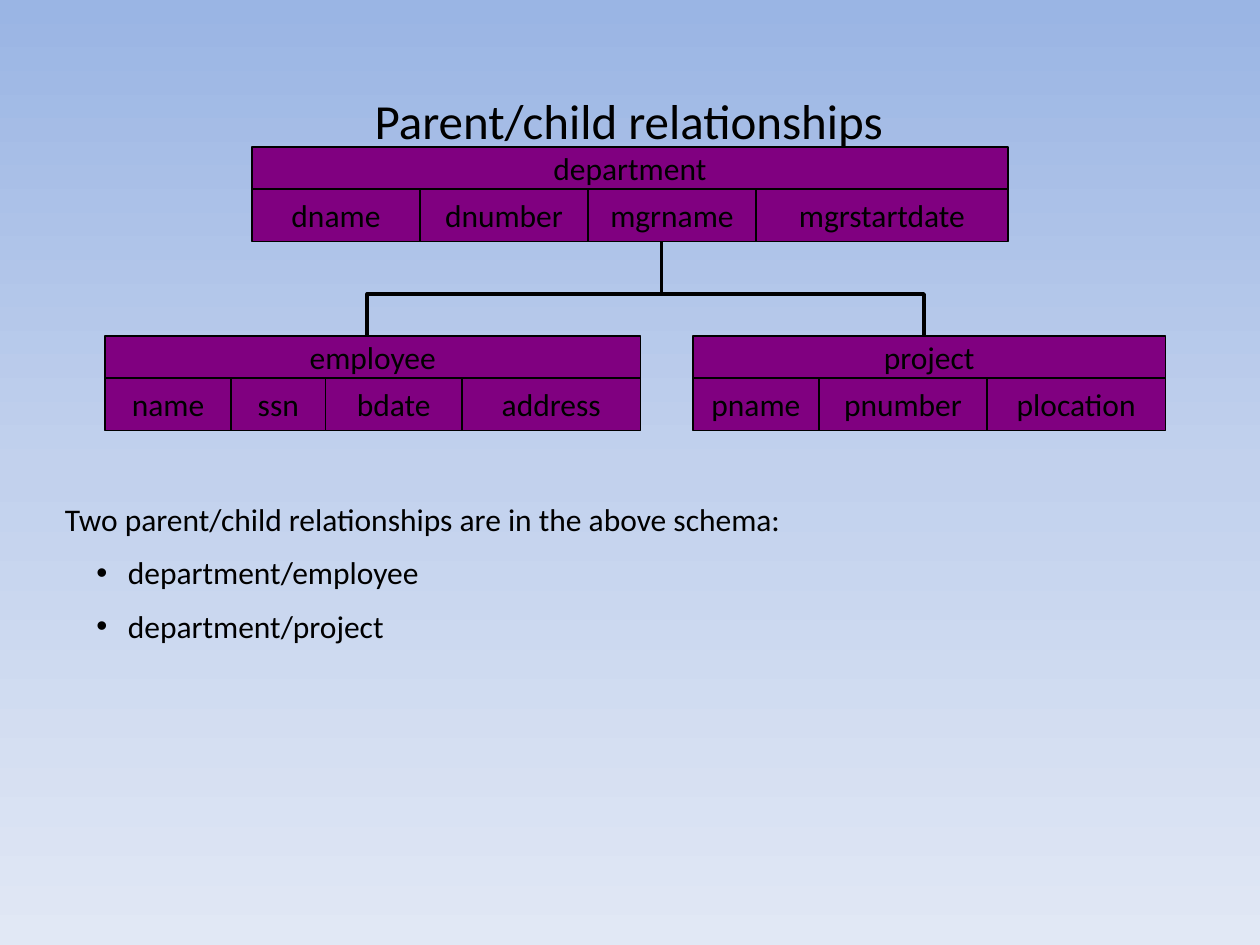
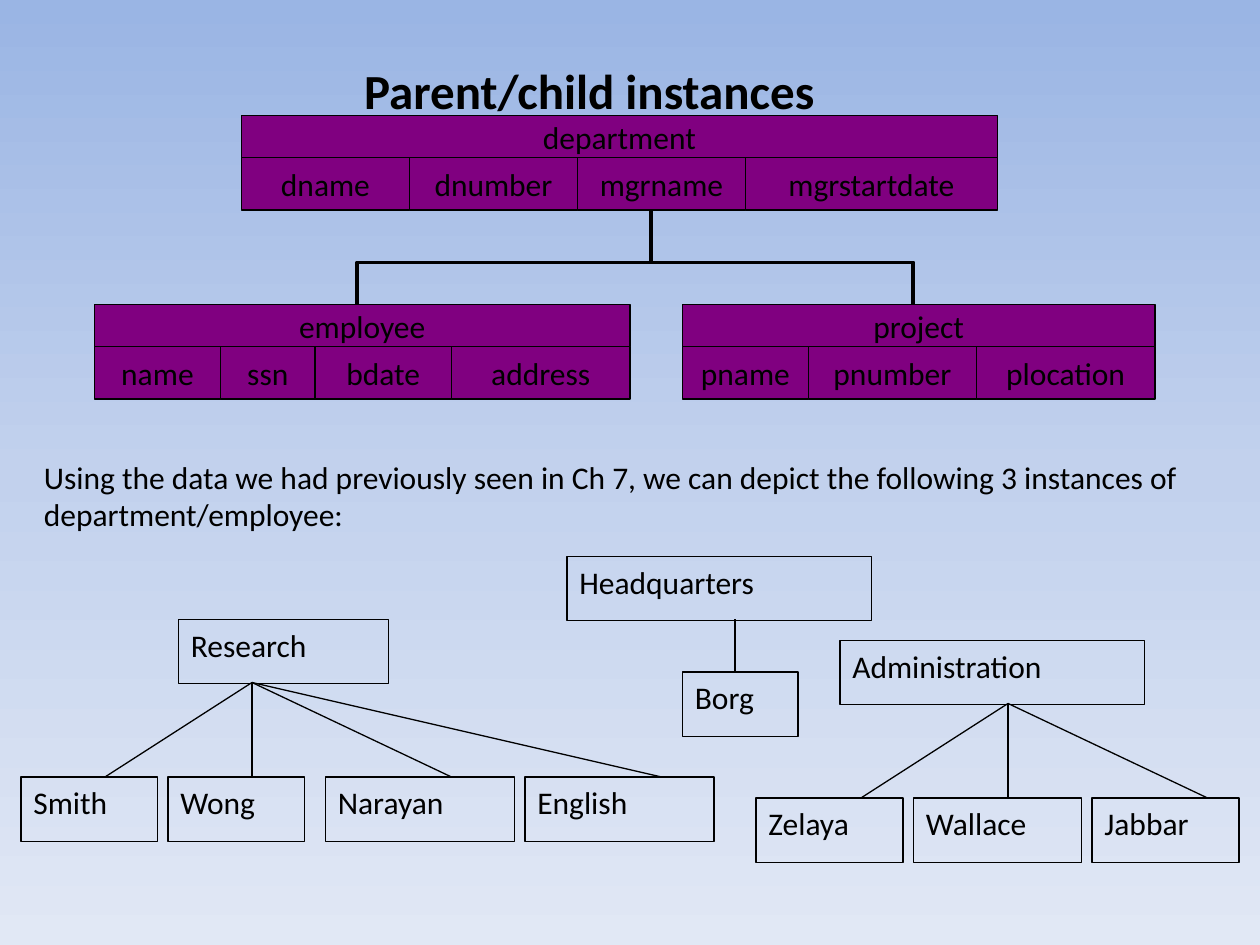
from copy import deepcopy
from dataclasses import dataclass

from lxml.etree import SubElement
from pptx import Presentation
from pptx.dml.color import RGBColor
from pptx.enum.shapes import MSO_CONNECTOR, MSO_SHAPE
from pptx.enum.text import MSO_ANCHOR, PP_ALIGN
from pptx.oxml.ns import qn
from pptx.util import Inches, Pt


@dataclass(frozen=True)
class Theme:
    font: str = "Calibri"
    title: int = 28
    body: int = 18
    thin: float = 0.75
    thick: float = 2.25
    ink: RGBColor = RGBColor.from_string("000000")
    record: RGBColor = RGBColor.from_string("800080")
    sky: tuple = ("9AB5E4", "C2D1ED", "E1E8F5")


T = Theme()
CELLS = 12  # every position is counted in twelfths of an inch


def add_text(s, text, x, y, w, h, *, size=T.body, bold=False, fill=None,
             outline=False, centred=False, bullets=()):
    """Place text at grid units x, y, w, h, with an optional box around it."""
    place = [Inches(v / CELLS) for v in (x, y, w, h)]
    if outline:
        sp = s.shapes.add_shape(MSO_SHAPE.RECTANGLE, *place)
        sp.shadow.inherit = False
        sp.line.color.rgb = T.ink
        sp.line.width = Pt(T.thin)
        if fill:
            sp.fill.solid()
            sp.fill.fore_color.rgb = fill
        else:
            sp.fill.background()
    else:
        sp = s.shapes.add_textbox(*place)
    tf = sp.text_frame
    tf.word_wrap = True
    tf.vertical_anchor = MSO_ANCHOR.MIDDLE if centred else MSO_ANCHOR.TOP
    if centred:
        tf.margin_top = tf.margin_bottom = 0
    for i, words in enumerate((text, *bullets)):
        p = tf.add_paragraph() if i else tf.paragraphs[0]
        p.alignment = PP_ALIGN.CENTER if centred else PP_ALIGN.LEFT
        if i:
            p.level = 1
            p.space_before = Pt(size / 2)
            pPr = p._p.get_or_add_pPr()
            pPr.set("marL", str(Inches(0.5)))
            pPr.set("indent", str(-Inches(0.25)))
            SubElement(pPr, qn("a:buFont")).set("typeface", "Arial")
            SubElement(pPr, qn("a:buChar")).set("char", "•")
        r = p.add_run()
        r.text = words
        r.font.name, r.font.size, r.font.bold = T.font, Pt(size), bold
        r.font.color.rgb = T.ink


def add_line(s, start, end, width):
    ends = [Inches(v / CELLS) for v in (*start, *end)]
    line = s.shapes.add_connector(MSO_CONNECTOR.STRAIGHT, *ends)
    line.line.color.rgb = T.ink
    line.line.width = Pt(width)
    SubElement(line._element.spPr, qn("a:effectLst"))


# Record type, left, top, fields with their widths
SCHEMA = [
    ("department", 24, 14, {"dname": 16, "dnumber": 16, "mgrname": 16, "mgrstartdate": 24}),
    ("employee", 10, 32, {"name": 12, "ssn": 9, "bdate": 13, "address": 17}),
    ("project", 66, 32, {"pname": 12, "pnumber": 16, "plocation": 17}),
]
HEAD_H, FIELD_H = 4, 5
BRACKET = [(35, 32), (35, 28), (88, 28), (88, 32)]
STEM = [(63, 28), (63, 23)]

# Parent, left, top, width, x of its line ends, top of children,
# children as (name, left, width, x of line end)
INSTANCES = [
    ("Research", 17, 59, 20, 24, 74, [
        ("Smith", 2, 13, 10), ("Wong", 16, 13, 24),
        ("Narayan", 31, 18, 43), ("English", 50, 18, 63)]),
    ("Administration", 80, 61, 29, 96, 76, [
        ("Zelaya", 72, 14, 82), ("Wallace", 87, 16, 96), ("Jabbar", 104, 14, 115)]),
    ("Headquarters", 54, 53, 29, 70, 64, [("Borg", 65, 11, 70)]),
]
INSTANCE_H = 6.12

SLIDES = [
    dict(shift=(0, 0), instances=[],
         title=dict(text="Parent/child relationships", x=34.5, y=8, w=55.2, h=6.84),
         body=dict(text="Two parent/child relationships are in the above schema:",
                   x=5, y=47, w=110, h=20.4,
                   bullets=("department/employee", "department/project"))),
    dict(shift=(-1, -3), instances=INSTANCES,
         title=dict(text="Parent/child instances", x=33.5, y=5.16, w=52.6, h=6.84, bold=True),
         body=dict(text="Using the data we had previously seen in Ch 7, we can depict "
                        "the following 3 instances of department/employee:",
                   x=3, y=43, w=113, h=10.8)),
]

prs = Presentation()
prs.slide_width, prs.slide_height = Inches(10), Inches(7.5)

for page in SLIDES:
    s = prs.slides.add_slide(prs.slide_layouts[6])
    dx, dy = page["shift"]

    # Background
    sky = s.background.fill
    sky.gradient()
    sky.gradient_angle = 270
    stops = s._element.find(".//" + qn("a:gsLst"))
    stops.append(deepcopy(stops[0]))
    for i, (stop, colour) in enumerate(zip(sky.gradient_stops, T.sky)):
        stop.position = i / 2
        stop.color.rgb = RGBColor.from_string(colour)

    # Schema
    record = dict(fill=T.record, outline=True, centred=True)
    for name, x, y, fields in SCHEMA:
        x, y = x + dx, y + dy
        add_text(s, name, x, y, sum(fields.values()), HEAD_H, **record)
        for field, w in fields.items():
            add_text(s, field, x, y + HEAD_H, w, FIELD_H, **record)
            x += w

    points = [(Inches((x + dx) / CELLS), Inches((y + dy) / CELLS)) for x, y in BRACKET]
    outline = s.shapes.build_freeform(*points[0])
    outline.add_line_segments(points[1:], close=False)
    bracket = outline.convert_to_shape()
    bracket.shadow.inherit = False
    bracket.fill.background()
    bracket.line.color.rgb = T.ink
    bracket.line.width = Pt(T.thick)
    add_line(s, *[(x + dx, y + dy) for x, y in STEM], T.thick)

    # Explanation and instance trees
    add_text(s, **page["body"])
    for parent, x, y, w, root_x, child_y, children in page["instances"]:
        add_text(s, parent, x, y, w, INSTANCE_H, outline=True)
        for child, child_x, child_w, end_x in children:
            add_text(s, child, child_x, child_y, child_w, INSTANCE_H, outline=True)
            add_line(s, (root_x, y + 6), (end_x, child_y), T.thin)

    add_text(s, size=T.title, **page["title"])

prs.save("out.pptx")
